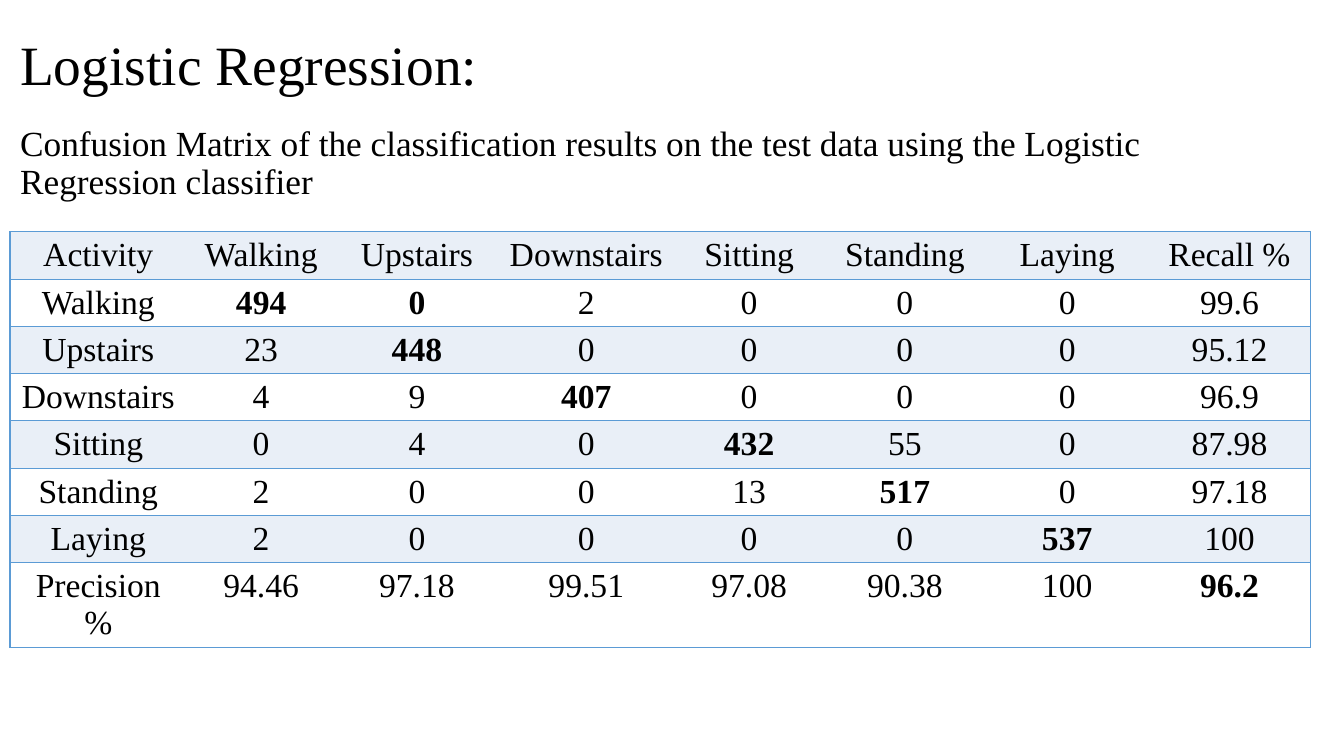
"""Builds the logistic regression confusion matrix slide."""
from lxml.etree import SubElement
from pptx import Presentation
from pptx.dml.color import RGBColor
from pptx.enum.text import MSO_ANCHOR, MSO_AUTO_SIZE, PP_ALIGN
from pptx.oxml.ns import qn
from pptx.util import Inches, Pt

COLORS = {"text": "000000", "band": "E9EFF7", "plain": "FFFFFF", "line": "5B9BD5"}
FONT = "Times New Roman"
TITLE = [
    ("Logistic Regression:", 39.6, 0),
    ("Confusion Matrix of the classification results on the test data "
     "using the Logistic Regression classifier", 25.2, 20),
]
ACTIVITIES = ["Walking", "Upstairs", "Downstairs", "Sitting", "Standing", "Laying"]
ROWS = [
    ["Activity", *ACTIVITIES, "Recall %"],
    ["Walking", "494", "0", "2", "0", "0", "0", "99.6"],
    ["Upstairs", "23", "448", "0", "0", "0", "0", "95.12"],
    ["Downstairs", "4", "9", "407", "0", "0", "0", "96.9"],
    ["Sitting", "0", "4", "0", "432", "55", "0", "87.98"],
    ["Standing", "2", "0", "0", "13", "517", "0", "97.18"],
    ["Laying", "2", "0", "0", "0", "0", "537", "100"],
    ["Precision %", "94.46", "97.18", "99.51", "97.08", "90.38", "100", "96.2"],
]
WIDTHS = [1.75, 1.48, 1.61, 1.75, 1.48, 1.61, 1.61, 1.61]
ROW_HEIGHT = 0.42
EXTRA_BOLD = {(1, 2)}


def add_text(p, text, size, align, bold=False):
    """Write one formatted run into a paragraph."""
    p.alignment = align
    r = p.add_run()
    r.text = text
    for name, value in {"name": FONT, "size": Pt(size), "bold": bold}.items():
        setattr(r.font, name, value)
    r.font.color.rgb = RGBColor.from_string(COLORS["text"])


def add_title(slide):
    """Place the heading and its caption in the title placeholder."""
    sp = slide.shapes.title
    box = {"left": 0.1, "top": 0.4, "width": 12.9, "height": 1.58}
    for name, value in box.items():
        setattr(sp, name, Inches(value))
    tf = sp.text_frame
    frame = {"word_wrap": True, "auto_size": MSO_AUTO_SIZE.NONE,
             "vertical_anchor": MSO_ANCHOR.MIDDLE}
    for name, value in frame.items():
        setattr(tf, name, value)
    for i, (text, size, gap) in enumerate(TITLE):
        p = tf.add_paragraph() if i else tf.paragraphs[0]
        p.line_spacing = 0.9
        p.space_before = Pt(gap)
        add_text(p, text, size, PP_ALIGN.LEFT)


def set_borders(cell, sides):
    """Rule the named sides of a cell and clear the others."""
    tcPr = cell._tc.get_or_add_tcPr()
    for side in "LRTB":
        ln = SubElement(tcPr, qn(f"a:ln{side}"), w=str(Pt(1)))
        if side in sides:
            fill = SubElement(ln, qn("a:solidFill"))
            SubElement(fill, qn("a:srgbClr"), val=COLORS["line"])
        else:
            SubElement(ln, qn("a:noFill"))


def add_matrix(slide):
    """Add the confusion matrix with banded rows and a bold diagonal."""
    last = len(WIDTHS) - 1
    table = slide.shapes.add_table(
        len(ROWS), len(WIDTHS), Inches(0.1), Inches(2.3),
        Inches(sum(WIDTHS)), Inches(ROW_HEIGHT * len(ROWS))).table
    table.first_row = table.horz_banding = False
    for column, width in zip(table.columns, WIDTHS):
        column.width = Inches(width)
    for i, values in enumerate(ROWS):
        table.rows[i].height = Inches(ROW_HEIGHT)
        for j, value in enumerate(values):
            cell = table.cell(i, j)
            set_borders(cell, "TB" + {0: "L", last: "R"}.get(j, ""))
            cell.fill.solid()
            color = COLORS["plain" if i % 2 else "band"]
            cell.fill.fore_color.rgb = RGBColor.from_string(color)
            bold = i == j > 0 or (i, j) in EXTRA_BOLD
            add_text(cell.text_frame.paragraphs[0], value, 24, PP_ALIGN.CENTER, bold)


def main():
    """Create the slide and save it."""
    prs = Presentation()
    prs.slide_width, prs.slide_height = Inches(13.33), Inches(7.5)
    slide = prs.slides.add_slide(prs.slide_layouts[5])
    add_title(slide)
    add_matrix(slide)
    prs.save("out.pptx")


main()
